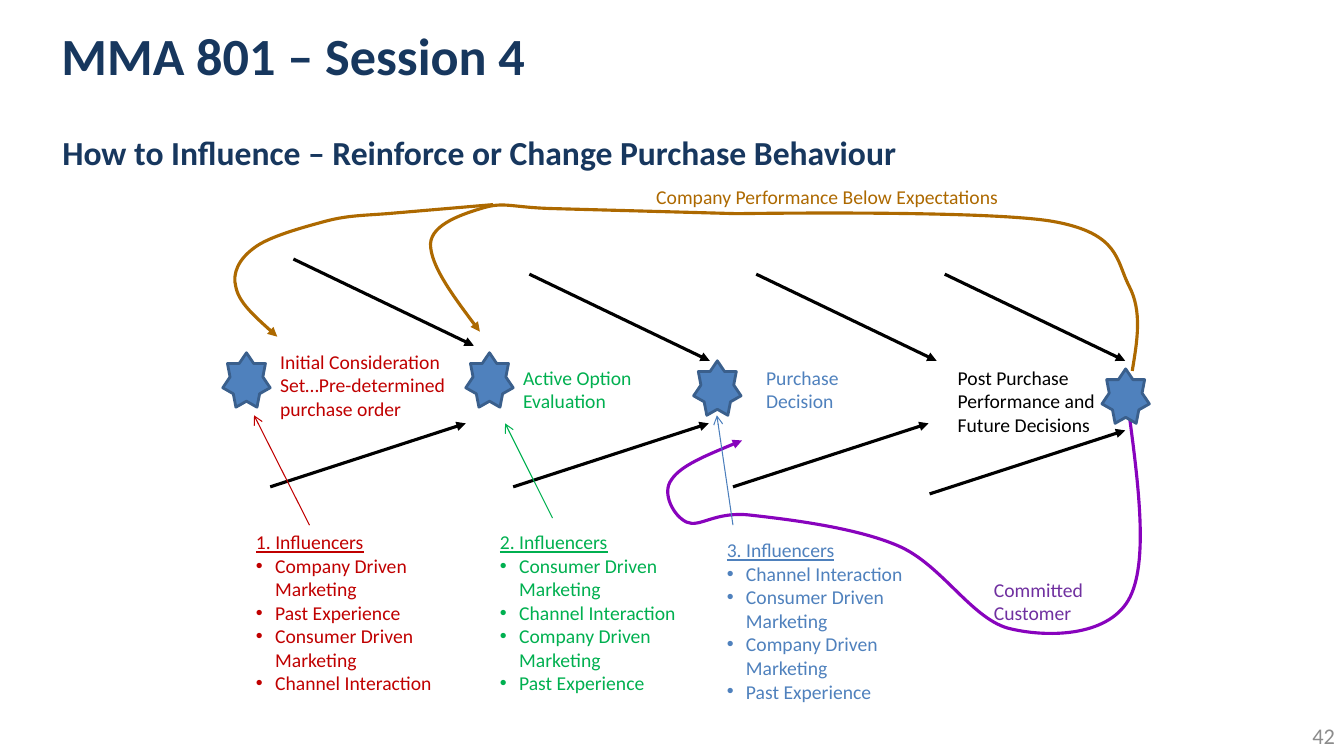
from pptx import Presentation
from pptx.dml.color import RGBColor
from pptx.enum.shapes import MSO_CONNECTOR, MSO_SHAPE
from pptx.enum.text import MSO_ANCHOR, MSO_AUTO_SIZE, PP_ALIGN
from pptx.oxml.ns import qn
from pptx.util import Inches, Pt
from lxml.etree import SubElement

NAVY, RED, GREEN, BLUE = "17375E", "C00000", "00B050", "4F81BD"
BLACK, GREY, BROWN, VIOLET, PURPLE = "000000", "8C8C8C", "AD6900", "8803BD", "7030A0"


def rgb(color):
    return RGBColor.from_string(color)


class JourneySlide:
    font = "Calibri"
    body_size = 14

    def __init__(self, slide):
        self.slide = slide

    def style(self, paragraph, color, size, bold=False):
        for run in paragraph.runs:
            run.font.name = self.font
            run.font.size = Pt(size)
            run.font.bold = bold
            run.font.color.rgb = rgb(color)

    def title(self, text, box, color, size):
        heading = self.slide.shapes.title
        heading.left, heading.top, heading.width, heading.height = map(Inches, box)
        frame = heading.text_frame
        frame.text = text
        frame.vertical_anchor = MSO_ANCHOR.MIDDLE
        frame.auto_size = MSO_AUTO_SIZE.NONE
        frame.paragraphs[0].alignment = PP_ALIGN.LEFT
        self.style(frame.paragraphs[0], color, size, bold=True)

    def text(self, text, box, color, size=None, bold=False,
             anchor=MSO_ANCHOR.TOP, align=PP_ALIGN.LEFT):
        frame = self.slide.shapes.add_textbox(*map(Inches, box)).text_frame
        frame.word_wrap = True
        frame.vertical_anchor = anchor
        if anchor == MSO_ANCHOR.TOP:
            frame.auto_size = MSO_AUTO_SIZE.SHAPE_TO_FIT_TEXT
        frame.text = text
        for paragraph in frame.paragraphs:
            paragraph.alignment = align
            self.style(paragraph, color, size or self.body_size, bold)
        return frame

    def influencers(self, heading, items, left, top, color):
        frame = self.text("\n".join([heading, *items]), (left, top, 2.02, 1.75), color)
        frame.paragraphs[0].runs[0].font.underline = True
        for paragraph in frame.paragraphs[1:]:
            properties = paragraph._p.get_or_add_pPr()
            properties.set("marL", str(Inches(0.19)))
            properties.set("indent", str(-Inches(0.19)))
            SubElement(properties, qn("a:buFont"), typeface="Arial")
            SubElement(properties, qn("a:buChar"), char="•")

    def outline(self, shape, color, width, head=None):
        shape.line.color.rgb = rgb(color)
        shape.line.width = Pt(width)
        if head:
            SubElement(shape._element.spPr.find(qn("a:ln")), qn("a:tailEnd"), type=head)

    def arrow(self, start, end, color, width, head):
        connector = self.slide.shapes.add_connector(
            MSO_CONNECTOR.STRAIGHT, *map(Inches, (*start, *end)))
        self.outline(connector, color, width, head)
        SubElement(connector._element.spPr, qn("a:effectLst"))

    def star(self, left, top):
        star = self.slide.shapes.add_shape(
            MSO_SHAPE.STAR_7_POINT, *map(Inches, (left, top, 0.47, 0.54)))
        star.shadow.inherit = False
        star.fill.solid()
        star.fill.fore_color.rgb = rgb(BLUE)
        self.outline(star, "3A5F8C", 2)

    def curve(self, points, color, head=None):
        start, *controls = [tuple(map(Inches, point)) for point in points]
        builder = self.slide.shapes.build_freeform(*start)
        builder.add_line_segments(controls, close=False)
        loop = builder.convert_to_shape()
        loop.shadow.inherit = False
        loop.fill.background()
        self.outline(loop, color, 2.25, head)
        segments = list(loop._element.iter(qn("a:lnTo")))
        for first in range(0, len(segments), 3):
            bezier = SubElement(segments[first].getparent(), qn("a:cubicBezTo"))
            for segment in segments[first:first + 3]:
                bezier.append(segment[0])
                segment.getparent().remove(segment)


def main():
    deck = Presentation()
    deck.slide_width, deck.slide_height = Inches(13.33), Inches(7.5)
    page = JourneySlide(deck.slides.add_slide(deck.slide_layouts[5]))

    page.text("42", (11.71, 7.1, 1.63, 0.4), GREY, 16,
              anchor=MSO_ANCHOR.MIDDLE, align=PP_ALIGN.RIGHT)
    page.title("MMA 801 – Session 4", (0.51, 0.07, 10.94, 0.94), NAVY, 37.3)
    page.text("How to Influence – Reinforce or Change Purchase Behaviour",
              (0.52, 1.15, 10.64, 0.71), NAVY, 24, bold=True, anchor=MSO_ANCHOR.MIDDLE)

    upper_starts = [(2.91, 2.57), (5.25, 2.72), (7.5, 2.72), (9.37, 2.72)]
    lower_starts = [(2.68, 4.83), (5.09, 4.83), (7.27, 4.83), (9.22, 4.9)]
    for starts, run, drop in ((upper_starts, 1.79, 0.86), (lower_starts, 1.94, -0.63)):
        for x, y in starts:
            page.arrow((x, y), (x + run, y + drop), BLACK, 2.25, "triangle")

    stages = [
        ("Initial Consideration Set…Pre-determined purchase order",
         (2.68, 3.42, 1.98, 0.81), RED),
        ("Active Option Evaluation", (5.09, 3.58, 1.56, 0.57), GREEN),
        ("Purchase Decision", (7.5, 3.58, 1.17, 0.57), BLUE),
        ("Post Purchase Performance and Future Decisions",
         (9.4, 3.58, 1.71, 0.81), BLACK),
    ]
    for stage, box, color in stages:
        page.text(stage, box, color)

    company, consumer = "Company Driven Marketing", "Consumer Driven Marketing"
    channel, past = "Channel Interaction", "Past Experience"
    influences = [
        ("1. Influencers", [company, past, consumer, channel], 2.44, 5.21, RED),
        ("2. Influencers", [consumer, channel, company, past], 4.86, 5.21, GREEN),
        ("3. Influencers", [channel, consumer, company, past], 7.11, 5.29, BLUE),
    ]
    for influence in influences:
        page.influencers(*influence)

    committed_loop = [
        (11.17, 3.89), (11.28, 4.71), (11.4, 5.53), (11.21, 5.92),
        (11.02, 6.31), (10.42, 6.33), (10.03, 6.24),
        (9.65, 6.16), (9.35, 5.61), (8.92, 5.42),
        (8.49, 5.23), (7.79, 5.15), (7.44, 5.11),
        (7.09, 5.07), (6.94, 5.24), (6.81, 5.18),
        (6.68, 5.12), (6.56, 4.89), (6.66, 4.76),
        (6.75, 4.62), (7.05, 4.5), (7.36, 4.37),
    ]
    page.curve(committed_loop, VIOLET, "triangle")

    for left, top in ((2.21, 3.5), (4.62, 3.5), (6.88, 3.58), (10.93, 3.66)):
        page.star(left, top)

    page.arrow((3.07, 5.21), (2.52, 4.12), RED, 0.75, "arrow")
    page.arrow((5.48, 5.14), (5.01, 4.2), GREEN, 0.75, "arrow")
    page.arrow((7.27, 5.21), (7.11, 4.12), "4B7EBC", 0.75, "arrow")

    return_to_evaluation = [
        (11.23, 3.68), (11.28, 3.38), (11.33, 3.09), (11.2, 2.84),
        (11.07, 2.59), (11.11, 2.32), (10.46, 2.2),
        (9.82, 2.08), (7.31, 2.12), (7.31, 2.12),
        (7.31, 2.12), (5.5, 2.07), (5.5, 2.07),
        (5.08, 2.06), (5.01, 2), (4.8, 2.06),
        (4.6, 2.12), (4.28, 2.22), (4.27, 2.42),
        (4.27, 2.63), (4.51, 2.96), (4.76, 3.29),
    ]
    return_to_consideration = [
        (4.89, 2.03), (4.89, 2.03), (3.84, 2.12), (3.84, 2.12),
        (3.56, 2.14), (3.43, 2.14), (3.21, 2.2),
        (2.99, 2.26), (2.66, 2.35), (2.52, 2.46),
        (2.37, 2.57), (2.3, 2.71), (2.34, 2.85),
        (2.37, 3), (2.56, 3.17), (2.75, 3.34),
    ]
    for feedback in (return_to_evaluation, return_to_consideration):
        page.curve(feedback, BROWN, "triangle")

    page.text("Company Performance Below Expectations", (6.41, 1.79, 3.81, 0.34), BROWN)
    page.text("Committed Customer", (9.76, 5.68, 1.4, 0.57), PURPLE)

    deck.save("out.pptx")


if __name__ == "__main__":
    main()
